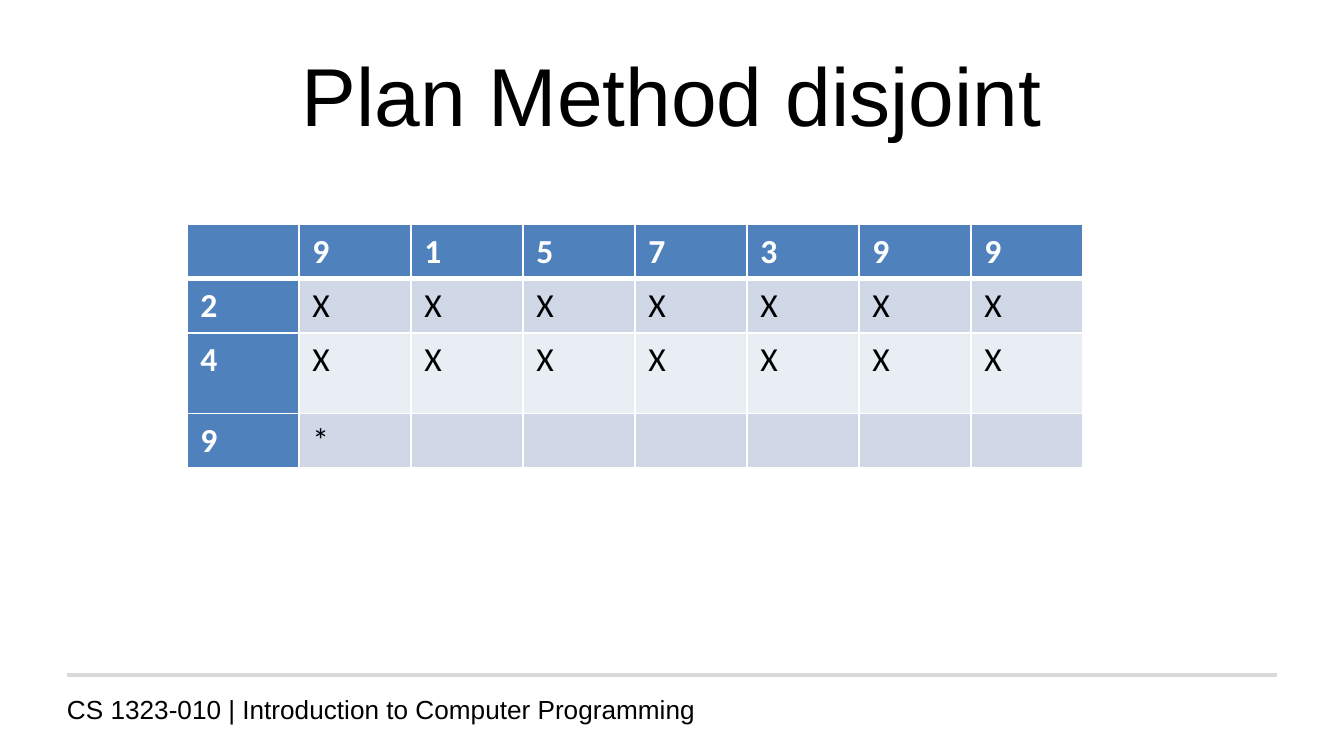
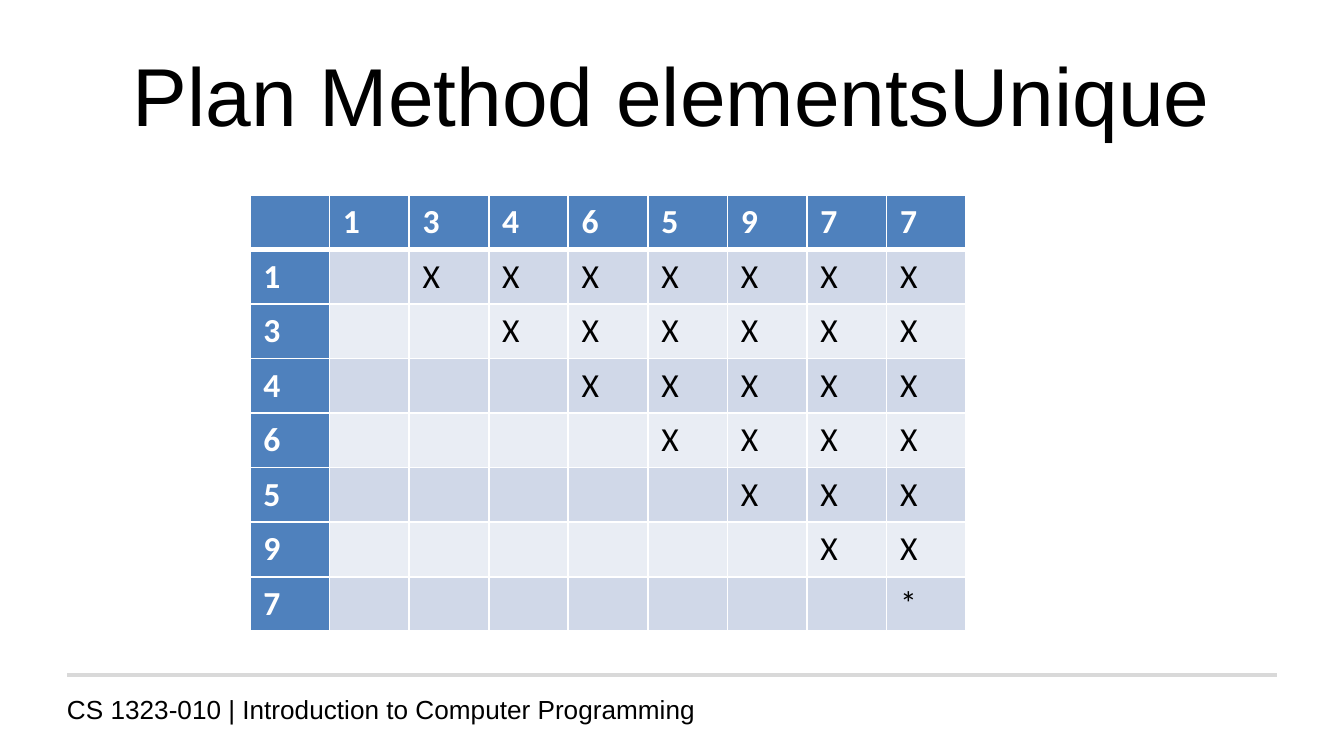
from dataclasses import dataclass

from pptx import Presentation
from pptx.dml.color import RGBColor
from pptx.enum.shapes import MSO_CONNECTOR
from pptx.enum.text import MSO_ANCHOR, PP_ALIGN
from pptx.oxml import parse_xml
from pptx.oxml.ns import nsdecls
from pptx.util import Inches, Pt


@dataclass(frozen=True)
class Theme:
    black: str = "000000"
    white: str = "FFFFFF"
    rule: str = "D9D9D9"
    header: str = "4F81BD"
    bands: tuple = ("D0D8E8", "E9EDF4")
    text_font: str = "Arial"
    table_font: str = "Calibri"
    title_size: int = 44
    footer_size: int = 14
    table_size: int = 18


THEME = Theme()
FOOTER = "CS 1323-010 | Introduction to Computer Programming"
TITLE_ONLY = 5


def add_span(para, text, font, size, color, bold=False):
    span = para.add_run()
    span.text = text
    span.font.name = font
    span.font.size = Pt(size)
    span.font.bold = bold
    span.font.color.rgb = RGBColor.from_string(color)


def add_title(page, text):
    title = page.shapes.title
    title.left, title.top = Inches(0.5), Inches(0.23)
    title.width, title.height = Inches(9), Inches(0.94)
    title.text_frame.vertical_anchor = MSO_ANCHOR.MIDDLE
    para = title.text_frame.paragraphs[0]
    para.alignment = PP_ALIGN.CENTER
    add_span(para, text, THEME.text_font, THEME.title_size, THEME.black)


def add_footer(page):
    box = page.shapes.add_textbox(Inches(0.4), Inches(5.11), Inches(9), Inches(0.21))
    box.text_frame.word_wrap = True
    add_span(box.text_frame.paragraphs[0], FOOTER, THEME.text_font,
             THEME.footer_size, THEME.black)
    line = page.shapes.add_connector(MSO_CONNECTOR.STRAIGHT, Inches(0.5), Inches(5.02),
                                     Inches(9.5), Inches(5.02))
    line.line.color.rgb = RGBColor.from_string(THEME.rule)
    line.line.width = Pt(2)
    properties = line._element.spPr
    properties.append(parse_xml(f"<a:effectLst {nsdecls('a')}/>"))


def add_page(deck, title):
    page = deck.slides.add_slide(deck.slide_layouts[TITLE_ONLY])
    add_footer(page)
    add_title(page, title)
    return page


def set_borders(cell, top=1, bottom=1):
    properties = cell._tc.get_or_add_tcPr()
    widths = {"L": 1, "R": 1, "T": top, "B": bottom}
    for index, (side, width) in enumerate(widths.items()):
        properties.insert(index, parse_xml(
            f'<a:ln{side} {nsdecls("a")} w="{Pt(width)}"><a:solidFill>'
            f'<a:srgbClr val="{THEME.white}"/></a:solidFill></a:ln{side}>'))


def fill_cell(cell, text, row, column):
    is_header = row == 0 or column == 0
    fill = THEME.header if is_header else THEME.bands[(row - 1) % 2]
    cell.fill.solid()
    cell.fill.fore_color.rgb = RGBColor.from_string(fill)
    set_borders(cell, top=3 if row == 1 else 1, bottom=3 if row == 0 else 1)
    para = cell.text_frame.paragraphs[0]
    if text:
        color = THEME.white if is_header else THEME.black
        add_span(para, text, THEME.table_font, THEME.table_size, color, is_header)
    else:
        para.font.size = Pt(THEME.table_size)


def trace_search(row_values, column_values, skip_earlier=False):
    grid = [["", *column_values]]
    grid += [[value] + [""] * len(column_values) for value in row_values]
    for row, value in enumerate(row_values, start=1):
        first = row + 1 if skip_earlier else 1
        for column in range(first, len(column_values) + 1):
            if value == column_values[column - 1]:
                grid[row][column] = "*"
                return grid
            grid[row][column] = "X"
    return grid


def add_trace_table(page, grid, left, top, width, height, tall_rows=None):
    tall_rows = tall_rows or {}
    rows, columns = len(grid), len(grid[0])
    table = page.shapes.add_table(rows, columns, Inches(left), Inches(top),
                                  Inches(width), Inches(height)).table
    table.first_col = True
    even_height = (height - sum(tall_rows.values())) / (rows - len(tall_rows))
    for column in table.columns:
        column.width = Inches(width / columns)
    for row, values in enumerate(grid):
        table.rows[row].height = Inches(tall_rows.get(row, even_height))
        for column, text in enumerate(values):
            fill_cell(table.cell(row, column), text, row, column)


def main():
    deck = Presentation()
    deck.slide_width = Inches(10)
    deck.slide_height = deck.slide_width * 9 // 16

    page = add_page(deck, "Plan Method disjoint")
    add_trace_table(page, trace_search("249", "9157399"),
                    1.39, 1.67, 6.67, 1.81, tall_rows={2: 0.6})

    page = add_page(deck, "Plan Method elementsUnique")
    add_trace_table(page, trace_search("1346597", "13465977", skip_earlier=True),
                    1.86, 1.45, 5.33, 3.25)

    deck.save("out.pptx")


if __name__ == "__main__":
    main()
